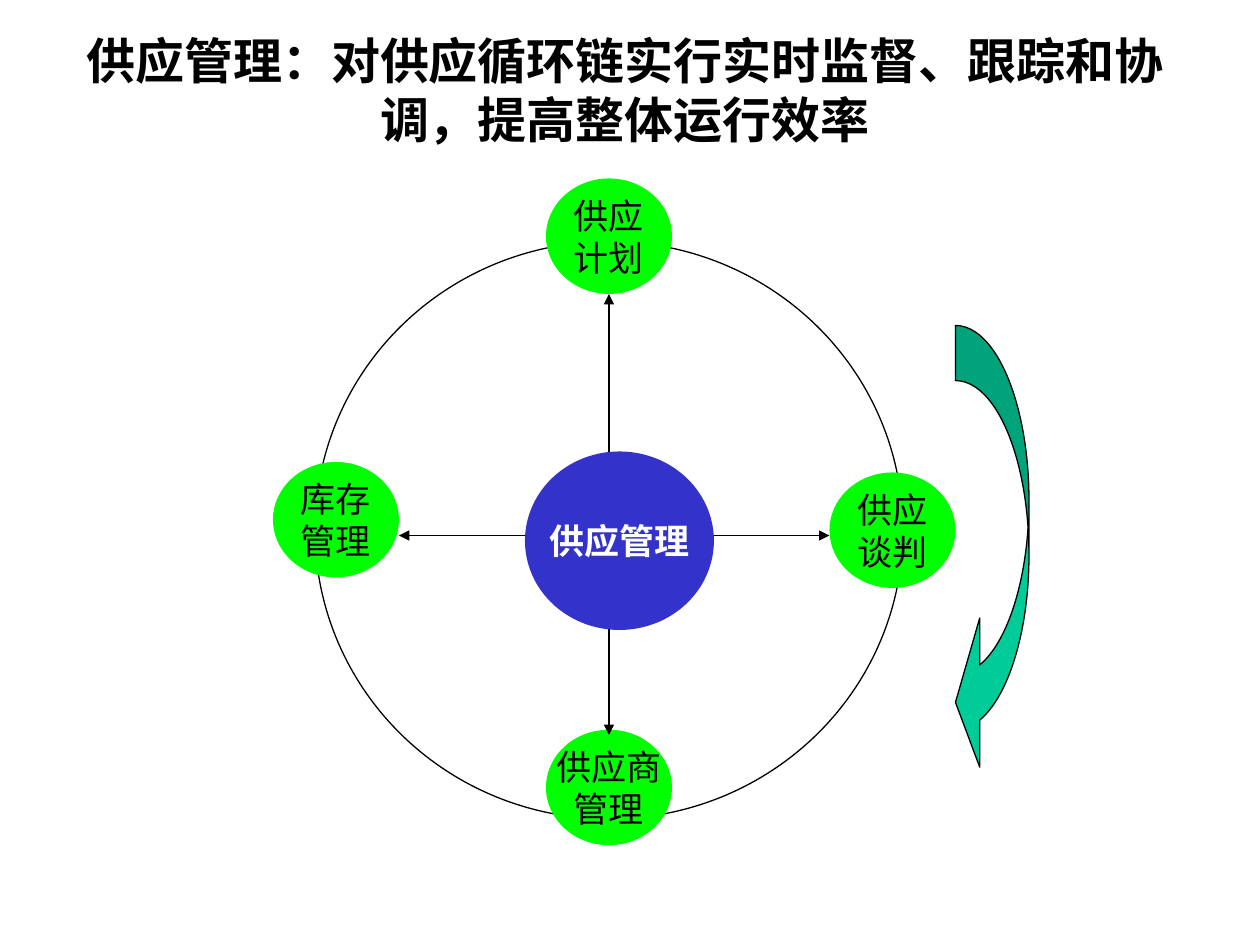
from lxml.etree import SubElement
from pptx import Presentation
from pptx.dml.color import RGBColor
from pptx.enum.shapes import MSO_CONNECTOR, MSO_SHAPE
from pptx.enum.text import MSO_ANCHOR, MSO_AUTO_SIZE, PP_ALIGN
from pptx.oxml.ns import qn
from pptx.util import Pt

BLACK = RGBColor(0x00, 0x00, 0x00)
WHITE = RGBColor(0xFF, 0xFF, 0xFF)
GREEN = RGBColor(0x00, 0xFF, 0x00)
BLUE = RGBColor(0x33, 0x33, 0xCC)
TEAL = RGBColor(0x00, 0xCC, 0x99)

LATIN = "Times New Roman"
HAN = "Noto Sans CJK SC"

HUB = (348, 306)
# Label, left and top of each stage on the ring
STAGES = [
    ("库存\n管理", 156, 264),
    ("供应商\n管理", 312, 417),
    ("供应\n计划", 312, 102),
]
LAST = ("供应\n谈判", 474, 270)
TIPS = [(348, 168), (474, 306), (348, 420), (228, 306)]


def write(shape, text, size=20, font=LATIN, color=BLACK, bold=False, wrap=False):
    """Fill a shape with centred text, one paragraph a line."""
    frame = shape.text_frame
    frame.text = text
    frame.auto_size = MSO_AUTO_SIZE.NONE
    frame.word_wrap = wrap
    frame.vertical_anchor = MSO_ANCHOR.MIDDLE
    for para in frame.paragraphs:
        para.alignment = PP_ALIGN.CENTER
        for run in para.runs:
            run.font.size = Pt(size)
            run.font.name = font
            run.font.bold = bold
            run.font.color.rgb = color
            SubElement(run.font._element, qn("a:ea"), typeface=HAN)


def add_form(slide, kind, box, fill, line=None):
    """Add a flat preset shape; box is left, top, width, height."""
    shape = slide.shapes.add_shape(kind, *map(Pt, box))
    shape.shadow.inherit = False
    shape.fill.solid()
    shape.fill.fore_color.rgb = fill
    if line is None:
        shape.line.fill.background()
    else:
        shape.line.color.rgb = line
        shape.line.width = Pt(0.75)
    return shape


def add_stage(slide, text, left, top):
    shape = add_form(slide, MSO_SHAPE.OVAL, (left, top, 72, 66), GREEN)
    write(shape, text)


def add_arrow(slide, start, end):
    link = slide.shapes.add_connector(MSO_CONNECTOR.STRAIGHT, *map(Pt, start + end))
    link.line.color.rgb = BLACK
    link.line.width = Pt(0.75)
    SubElement(link.line._get_or_add_ln(), qn("a:tailEnd"), type="triangle")
    SubElement(link._element.spPr, qn("a:effectLst"))


def add_title(slide, text):
    title = slide.shapes.title
    title.left, title.top, title.width, title.height = map(Pt, (30, 18, 654, 66))
    write(title, text, size=28, font=HAN, bold=True, wrap=True)


def main():
    deck = Presentation()
    deck.slide_width, deck.slide_height = Pt(720), Pt(540)
    slide = deck.slides.add_slide(deck.slide_layouts[5])
    add_title(slide, "供应管理：对供应循环链实行实时监督、跟踪和协调，提高整体运行效率")

    # Ring and the stages on it
    add_form(slide, MSO_SHAPE.OVAL, (180, 138, 336, 330), WHITE, BLACK)
    for stage in STAGES:
        add_stage(slide, *stage)

    # Spokes, with the hub over their start
    for tip in TIPS:
        add_arrow(slide, HUB, tip)
    hub = add_form(slide, MSO_SHAPE.OVAL, (300, 258, 108, 102), BLUE)
    write(hub, "供应管理", color=WHITE, bold=True)
    add_stage(slide, *LAST)

    # Curved arrow showing the direction of the cycle
    turn = add_form(slide, MSO_SHAPE.CURVED_LEFT_ARROW, (546, 186, 42, 258), TEAL, BLACK)
    for index, value in enumerate((0.75, 2.03, 0.33)):
        turn.adjustments[index] = value

    deck.save("out.pptx")


if __name__ == "__main__":
    main()
